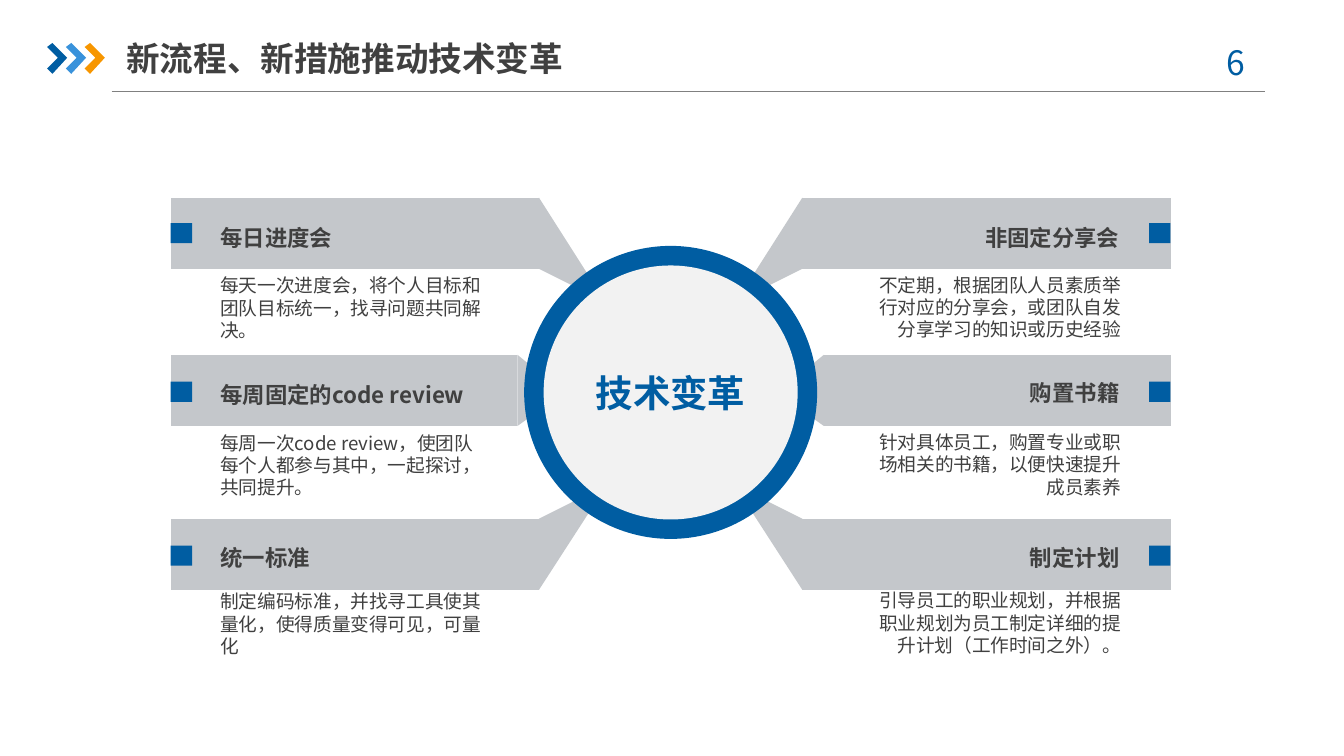
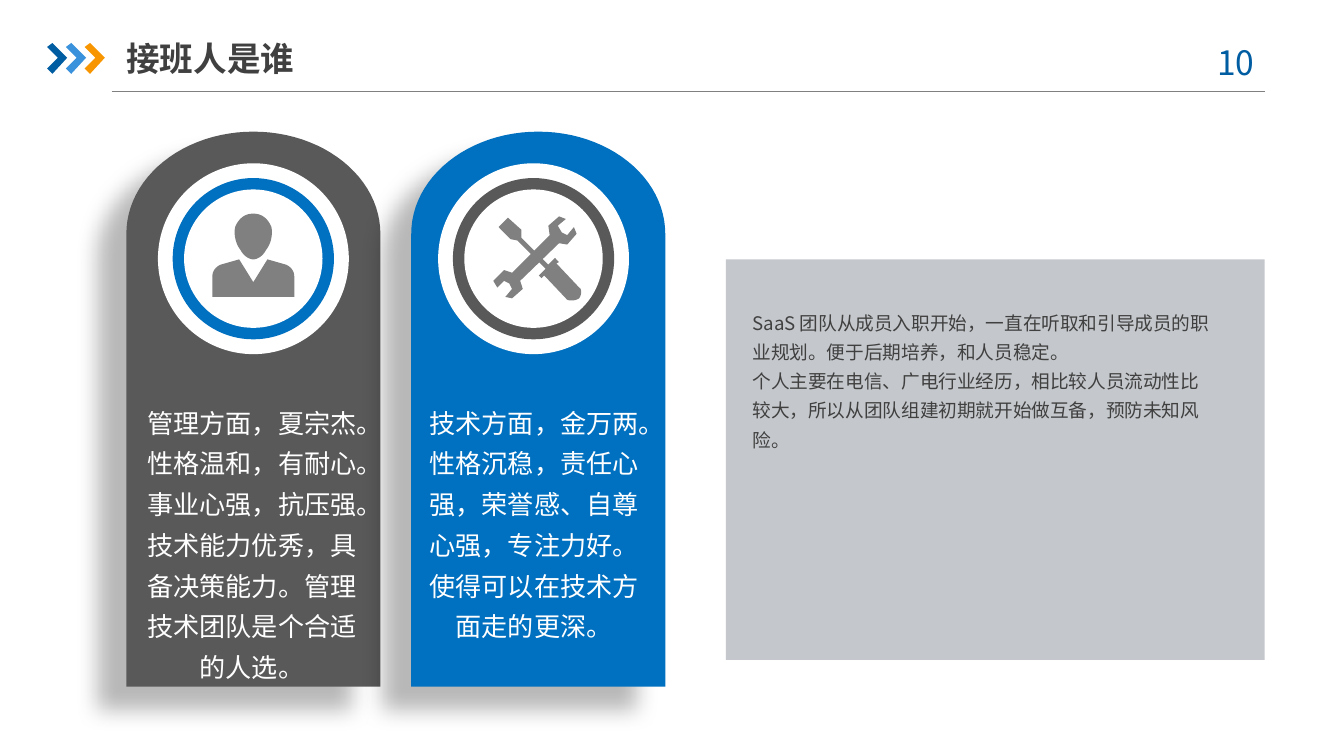
from math import cos, pi, sin

from lxml.etree import SubElement
from pptx import Presentation
from pptx.dml.color import RGBColor
from pptx.enum.shapes import MSO_CONNECTOR, MSO_SHAPE
from pptx.enum.text import MSO_ANCHOR, MSO_AUTO_SIZE, PP_ALIGN
from pptx.oxml.ns import qn
from pptx.util import Inches, Pt

WIDTH, HEIGHT = Inches(10), Inches(5.625)
COLUMN = WIDTH / 10
ROW = HEIGHT / 5.625
FONT = "Noto Sans CJK SC"
COLORS = {
    "navy": "005DA2", "sky": "3992DB", "orange": "F79600", "blue": "0070C0",
    "ink": "404040", "slate": "595959", "gray": "808080", "silver": "C4C7CB",
    "pale": "F2F2F2", "white": "FFFFFF", "black": "000000",
}
LEFT, CENTER, RIGHT = PP_ALIGN.LEFT, PP_ALIGN.CENTER, PP_ALIGN.RIGHT

HUB = (4.99, 2.92)
BAR_START, BAR_HEIGHT = 1.27, 0.53
TOP_ARM = (1.47, 4.01, [(4.43, 2.13), (4.37, 2.18)])
MIDDLE_ARM = (2.64, 3.85, [(4.13, 2.87), (4.13, 2.97)])
BOTTOM_ARM = (3.86, 4.01, [(4.37, 3.68), (4.43, 3.74)])
MEASURES = [
    (TOP_ARM, 1.66, 2.22,
     (1.62, "每日进度会", "每天一次进度会，将个人目标和团队目标统一，找寻问题共同解决。"),
     (1.62, "非固定分享会", "不定期，根据团队人员素质举行对应的分享会，或团队自发分享学习的知识或历史经验")),
    (MIDDLE_ARM, 2.84, 3.39,
     (2.79, "每周固定的code review",
      "每周一次code review，使团队每个人都参与其中，一起探讨，共同提升。"),
     (2.77, "购置书籍", "针对具体员工，购置专业或职场相关的书籍，以便快速提升成员素养")),
    (BOTTOM_ARM, 4.06, 4.57,
     (4, "统一标准", "制定编码标准，并找寻工具使其量化，使得质量变得可见，可量化"),
     (4, "制定计划", "引导员工的职业规划，并根据职业规划为员工制定详细的提升计划（工作时间之外）。")),
]

MANAGER = ["管理方面，夏宗杰。性格温和，有耐心。事业心强，抗压强。",
           "技术能力优秀，具备决策能力。管理技术团队是个合适的人选。"]
ENGINEER = ["技术方面，金万两。",
            "性格沉稳，责任心强，荣誉感、自尊心强，专注力好。使得可以在技术方面走的更深。"]
OUTLOOK = ["SaaS 团队从成员入职开始，一直在听取和引导成员的职业规划。便于后期培养，和人员稳定。",
           "个人主要在电信、广电行业经历，相比较人员流动性比较大，所以从团队组建初期就开始做互备，预防未知风险。"]

WRENCH = [
    (4.27, 1.69), (4.29, 1.74), (4.22, 1.82), (4.16, 1.81), (3.87, 2.09),
    (3.89, 2.15), (3.81, 2.22), (3.76, 2.21), (3.81, 2.15), (3.79, 2.11),
    (3.75, 2.09), (3.7, 2.14), (3.67, 2.09), (3.75, 2.01), (3.81, 2.03),
    (4.09, 1.75), (4.08, 1.68), (4.16, 1.61), (4.21, 1.63), (4.15, 1.68),
    (4.18, 1.73), (4.22, 1.75),
]


def color(name):
    return RGBColor.from_string(COLORS[name])


def place(left, top, width, height):
    return (round(left * COLUMN), round(top * ROW),
            round(width * COLUMN), round(height * ROW))


def mirror(points, axis):
    return [(2 * axis - x, y) for x, y in points]


def curve(start, first, second, end, steps=12):
    points = []
    for step in range(steps + 1):
        t = step / steps
        weights = ((1 - t) ** 3, 3 * t * (1 - t) ** 2, 3 * t * t * (1 - t), t ** 3)
        controls = (start, first, second, end)
        points.append(tuple(sum(w * c[axis] for w, c in zip(weights, controls))
                            for axis in (0, 1)))
    return points


def paint(shape, fill):
    shape.shadow.inherit = False
    shape.fill.solid()
    shape.fill.fore_color.rgb = color(fill)
    shape.line.fill.background()
    return shape


def add_preset(page, kind, box, fill):
    return paint(page.shapes.add_shape(kind, *place(*box)), fill)


def add_disc(page, center, radius, fill):
    x, y = center
    return add_preset(page, MSO_SHAPE.OVAL,
                      (x - radius, y - radius, 2 * radius, 2 * radius), fill)


def add_outline(page, points, fill):
    spots = [(round(x * COLUMN), round(y * ROW)) for x, y in points]
    builder = page.shapes.build_freeform(*spots[0])
    builder.add_line_segments(spots[1:], close=True)
    return paint(builder.convert_to_shape(), fill)


def write(shape, texts, size, ink, align=LEFT, bold=False, font=FONT,
          anchor=MSO_ANCHOR.TOP, insets=(0, 0.05), spacing=None, grow=False):
    frame = shape.text_frame
    frame.word_wrap = True
    frame.auto_size = MSO_AUTO_SIZE.SHAPE_TO_FIT_TEXT if grow else MSO_AUTO_SIZE.NONE
    frame.vertical_anchor = anchor
    frame.margin_left = frame.margin_right = Inches(insets[0])
    frame.margin_top = frame.margin_bottom = Inches(insets[1])
    frame.text = "\n".join(texts)
    for para in frame.paragraphs:
        para.alignment = align
        para.line_spacing = spacing
        para.font.name = font
        para.font.size = Pt(size)
        para.font.bold = bold
        para.font.color.rgb = color(ink)


def add_text(page, box, texts, size, ink, **style):
    write(page.shapes.add_textbox(*place(*box)), texts, size, ink, **style)


def add_shadow(shape):
    effects = shape._element.spPr.find(qn("a:effectLst"))
    shadow = SubElement(effects, qn("a:outerShdw"), blurRad=str(Pt(11.8)),
                        dist=str(Pt(19.7)), dir=str(141 * 60000), algn="tr", rotWithShape="0")
    tint = SubElement(shadow, qn("a:srgbClr"), val=COLORS["black"])
    SubElement(tint, qn("a:alpha"), val="28000")


def add_page(deck, title, number):
    page = deck.slides.add_slide(deck.slide_layouts[5])
    left, top, width, height = place(0.83, 0.68, 8.58, 0)
    rule = page.shapes.add_connector(MSO_CONNECTOR.STRAIGHT, left, top, left + width, top)
    rule.line.color.rgb = color("gray")
    rule.line.width = Pt(0.75)
    SubElement(rule._element.spPr, qn("a:effectLst"))
    chevron = [(0.35, 0.35), (0.39, 0.32), (0.5, 0.43), (0.39, 0.55), (0.35, 0.51), (0.43, 0.43)]
    for index, fill in enumerate(("navy", "sky", "orange")):
        add_outline(page, [(x + 0.14 * index, y) for x, y in chevron], fill)
    add_text(page, (8.86, 0.26, 0.73, 0.4), [f"{number} "], 18, "navy",
             align=CENTER, insets=(0.1, 0.05), grow=True)
    heading = page.shapes.title
    heading.left, heading.top, heading.width, heading.height = place(0.94, 0.22, 5, 0.42)
    write(heading, [title], 18, "ink", bold=True, anchor=MSO_ANCHOR.MIDDLE)
    return page


def add_arm(page, arm, mirrored):
    top, end, tip = arm
    bottom = top + BAR_HEIGHT
    bar = [(BAR_START, top), (end, top), (end, bottom), (BAR_START, bottom)]
    wedge = [(end, top), *(tip if arm is not BOTTOM_ARM else tip), (end, bottom)]
    for points in (bar, wedge):
        add_outline(page, mirror(points, HUB[0]) if mirrored else points, "silver")


def add_measure(page, entry, marker_top, body_top, mirrored):
    label_top, label, body = entry
    align = RIGHT if mirrored else LEFT
    add_preset(page, MSO_SHAPE.RECTANGLE,
               (8.55 if mirrored else BAR_START, marker_top, 0.16, 0.15), "navy")
    add_text(page, (6.19 if mirrored else 1.64, label_top, 2.14, 0.31), [label], 12,
             "ink", bold=True, align=align)
    body_box = (6.5, body_top, 1.84, 0.13) if mirrored else (1.64, body_top, 1.94, 0.14)
    add_text(page, body_box, [body], 10, "ink", align=align, anchor=MSO_ANCHOR.MIDDLE)


def add_reform_page(deck):
    page = add_page(deck, "新流程、新措施推动技术变革", 6)
    for arm, marker_top, body_top, *entries in MEASURES:
        for mirrored, entry in enumerate(entries):
            add_arm(page, arm, mirrored)
            add_measure(page, entry, marker_top, body_top, mirrored)
    add_disc(page, HUB, 1.09, "navy")
    hub = add_disc(page, HUB, 0.945, "pale")
    write(hub, ["技术变革"], 20, "navy", align=CENTER, bold=True,
          anchor=MSO_ANCHOR.MIDDLE, insets=(0.1, 0.05))


def add_arch(page, left, fill):
    top, bottom, radius, rise, steps = 0.98, 5.11, 0.945, 0.76, 48
    crown = [(left + radius - radius * cos(pi * step / steps),
              top + rise - rise * sin(pi * step / steps)) for step in range(steps + 1)]
    add_shadow(add_outline(page, [*crown, (left + 2 * radius, bottom), (left, bottom)], fill))


def add_badge(page, center, ring):
    for radius, fill in ((0.71, "white"), (0.6, ring), (0.515, "white")):
        add_disc(page, center, radius, fill)


def add_person(page, axis):
    shoulder = curve((2.13, 1.97), (2.17, 1.99), (2.19, 2.02), (2.19, 2.06))
    bust = [(axis, 2.1), (1.99, 1.93), *shoulder, (2.19, 2.21)]
    head = [*curve((axis, 1.59), (1.96, 1.59), (2, 1.64), (2.02, 1.69)),
            *curve((2.02, 1.69), (2.03, 1.74), (2.02, 1.81), (1.98, 1.86)),
            *curve((1.98, 1.86), (1.96, 1.9), (1.92, 1.93), (axis, 1.93))]
    for half in (bust, head):
        add_outline(page, half + mirror(half, axis)[::-1], "gray")


def add_tools(page):
    handle = [*curve((4.31, 2.14), (4.33, 2.15), (4.33, 2.19), (4.31, 2.22)),
              *curve((4.31, 2.22), (4.28, 2.24), (4.24, 2.24), (4.22, 2.23))]
    screwdriver = [(3.88, 1.77), (4.08, 1.97), (4.13, 1.92), (4.16, 1.95), (4.14, 1.96),
                   *handle, (4.05, 2.05), (4.03, 2.07), (4.01, 2.05), (4.06, 2),
                   (3.85, 1.79), (3.8, 1.78), (3.71, 1.69), (3.78, 1.62), (3.88, 1.71)]
    for points in (WRENCH, screwdriver):
        add_outline(page, points, "gray")


def add_successor_page(deck):
    page = add_page(deck, "接班人是谁", 10)
    cards = [(0.94, "slate", 1.885, "blue", 0.93, 2.24, MANAGER),
             (3.06, "blue", 3.97, "slate", 3.03, 1.94, ENGINEER)]
    for left, fill, axis, ring, text_left, text_height, texts in cards:
        add_arch(page, left, fill)
        add_badge(page, (axis, 1.925), ring)
        add_text(page, (text_left, 2.91, 1.89, text_height), texts, 14, "white", align=CENTER,
                 font="Calibri", insets=(0.11, 0.05), spacing=1.3, grow=True)
    add_person(page, 1.885)
    add_tools(page)
    add_preset(page, MSO_SHAPE.RECTANGLE, (5.4, 1.93, 4.01, 2.98), "silver")
    add_text(page, (5.52, 2.23, 3.57, 1.39), OUTLOOK, 10, "ink",
             insets=(0.08, 0.04), spacing=1.3, grow=True)


def main():
    deck = Presentation()
    deck.slide_width, deck.slide_height = WIDTH, HEIGHT
    add_reform_page(deck)
    add_successor_page(deck)
    deck.save("out.pptx")


if __name__ == "__main__":
    main()
